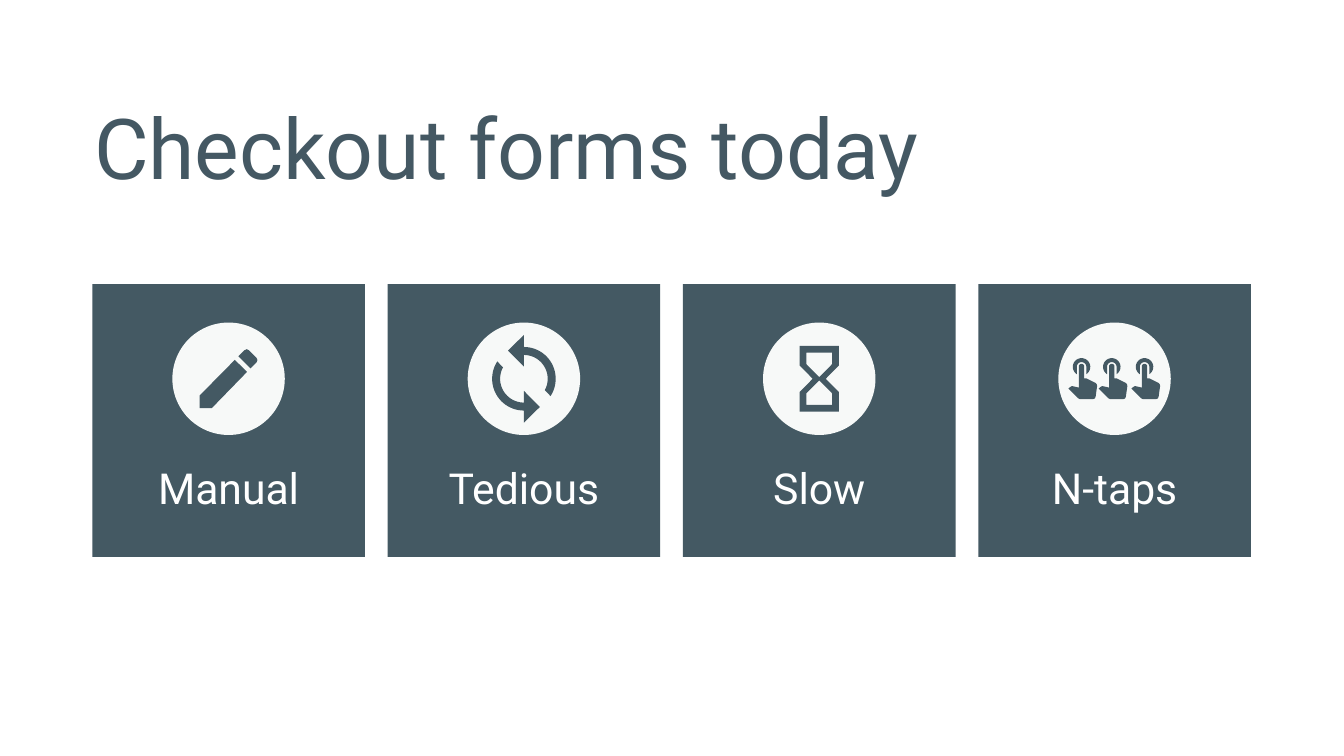
"""Build the "Checkout forms today" slide: a title over four icon cards."""
import math

import pptx
import pptx.dml.color
import pptx.enum.shapes
import pptx.enum.text
import pptx.util

Pt = pptx.util.Pt
RGB = pptx.dml.color.RGBColor.from_string
SHAPE = pptx.enum.shapes.MSO_SHAPE
ANCHOR = pptx.enum.text.MSO_ANCHOR
ALIGN = pptx.enum.text.PP_ALIGN

COLORS = {
    "background": "FFFFFF",
    "title": "445863",
    "card": "445963",
    "circle": "F7F9F8",
    "label": "FFFFFF",
}
CARD_LEFT, CARD_TOP, CARD_SIZE, CARD_PITCH = 131.8, 406, 389.5, 421.9
CIRCLE_SIZE, CENTER_Y = 160.6, 541.1
LABEL_TOP, LABEL_HEIGHT = 649.4, 95
FINGERS = (-47.2, -4, 42.8)


def arc(cy, radius, start, end, steps=24):
    """Return points on an arc around (0, cy), with angles in degrees."""
    angles = [math.radians(start + (end - start) * i / steps) for i in range(steps + 1)]
    return [(radius * math.cos(a), cy + radius * math.sin(a)) for a in angles]


def turned(points):
    """Return the points turned by half a circle about the origin."""
    return [(-x, -y) for x, y in points]


def pencil():
    """Return the shapes of a pencil, each a list of contours."""
    body = [(-41.4, 24.1), (-41.4, 42.1), (-24.1, 42.1), (26.3, -9.7), (9, -27)]
    tip = [(40, -29.9), (29.2, -40.7), (26, -42.3), (22.7, -40.7),
           (14, -32), (31.3, -14.8), (40, -23.4), (41.2, -26.7)]
    return [[body], [tip]]


def cycle():
    """Return the shapes of two arrows chasing each other."""
    arrow = arc(0, 34, 90, 208.7) + arc(0, 45.4, 213, 90)
    arrow += [(0, 62.6), (22.7, 40.3), (0, 17.3)]
    return [[arrow], [turned(arrow)]]


def hourglass():
    """Return the shape of an hourglass with its two openings."""
    half = [(-9.3, 0), (-27.9, -18.7), (-27.9, -46.8), (27.9, -46.8), (27.9, -18.7)]
    opening = [(0, -2.2), (-18.4, -20.9), (-18.4, -37.4), (18.4, -37.4), (18.4, -20.9)]
    return [[half + turned(half), opening, turned(opening)]]


def taps():
    """Return the shapes of three tapping hands."""
    hand = [(20.2, 6.1), (7.2, -0.4), (3.9, -0.4)] + arc(-17.4, 3.9, 0, -180)
    hand += [(-3.9, 12.6), (-13.7, 10.4), (-16.2, 11.9), (-18.7, 14), (-5, 27.7),
             (-2.2, 29.2), (16.6, 29.2), (19.2, 28), (20.2, 25.6), (22.3, 10.4), (21.8, 8)]
    ring = [(-6.8, -6.8)] + arc(-17, 6.8, 180, 360) + arc(-17, 12.5, 56, -236)
    return [[[(x + dx, y) for x, y in outline]] for dx in FINGERS for outline in (hand, ring)]


def paint(sp, color):
    """Give a shape a plain fill with no line or shadow."""
    sp.shadow.inherit = False
    sp.fill.solid()
    sp.fill.fore_color.rgb = RGB(COLORS[color])
    sp.line.fill.background()


def add_preset(shapes, kind, box, color):
    """Add a plain preset shape."""
    paint(shapes.add_shape(kind, *map(Pt, box)), color)


def add_outline(shapes, contours, x, y):
    """Add a freeform whose contours are centred on (x, y)."""
    first, *others = [[(Pt(x + dx), Pt(y + dy)) for dx, dy in c] for c in contours]
    builder = shapes.build_freeform(*first[0])
    builder.add_line_segments(first[1:])
    for contour in others:
        builder.move_to(*contour[0])
        builder.add_line_segments(contour[1:])
    paint(builder.convert_to_shape(), "card")


def add_text(shapes, text, box, size, color, inset=0, anchor=ANCHOR.TOP, align=ALIGN.LEFT):
    """Add a one-paragraph text box."""
    tf = shapes.add_textbox(*map(Pt, box)).text_frame
    frame = {"word_wrap": True, "vertical_anchor": anchor}
    frame.update({f"margin_{side}": Pt(inset) for side in ("left", "top", "right", "bottom")})
    for name, value in frame.items():
        setattr(tf, name, value)
    p = tf.paragraphs[0]
    p.alignment = align
    r = p.add_run()
    r.text = text
    for name, value in {"name": "Roboto", "size": Pt(size)}.items():
        setattr(r.font, name, value)
    r.font.color.rgb = RGB(COLORS[color])


def add_card(s, index, label, icon):
    """Add one grouped card with its circle, icon and label."""
    shapes = s.shapes.add_group_shape().shapes
    left = CARD_LEFT + index * CARD_PITCH
    center = left + CARD_SIZE / 2
    radius = CIRCLE_SIZE / 2
    add_preset(shapes, SHAPE.RECTANGLE, (left, CARD_TOP, CARD_SIZE, CARD_SIZE), "card")
    add_text(shapes, label, (left, LABEL_TOP, CARD_SIZE, LABEL_HEIGHT), 61, "label",
             inset=7.2, anchor=ANCHOR.MIDDLE, align=ALIGN.CENTER)
    add_preset(shapes, SHAPE.OVAL,
               (center - radius, CENTER_Y - radius, CIRCLE_SIZE, CIRCLE_SIZE), "circle")
    for contours in icon():
        add_outline(shapes, contours, center, CENTER_Y)


def main():
    """Build and save the slide."""
    prs = pptx.Presentation()
    prs.slide_width, prs.slide_height = Pt(1920), Pt(1080)
    s = prs.slides.add_slide(prs.slide_layouts[6])
    s.background.fill.solid()
    s.background.fill.fore_color.rgb = RGB(COLORS["background"])
    add_text(s.shapes, "Checkout forms today", (134.6, 136.8, 1600, 301.7), 120, "title")
    cards = (("Manual", pencil), ("Tedious", cycle), ("Slow", hourglass), ("N-taps", taps))
    for index, (label, icon) in enumerate(cards):
        add_card(s, index, label, icon)
    prs.save("out.pptx")


if __name__ == "__main__":
    main()
